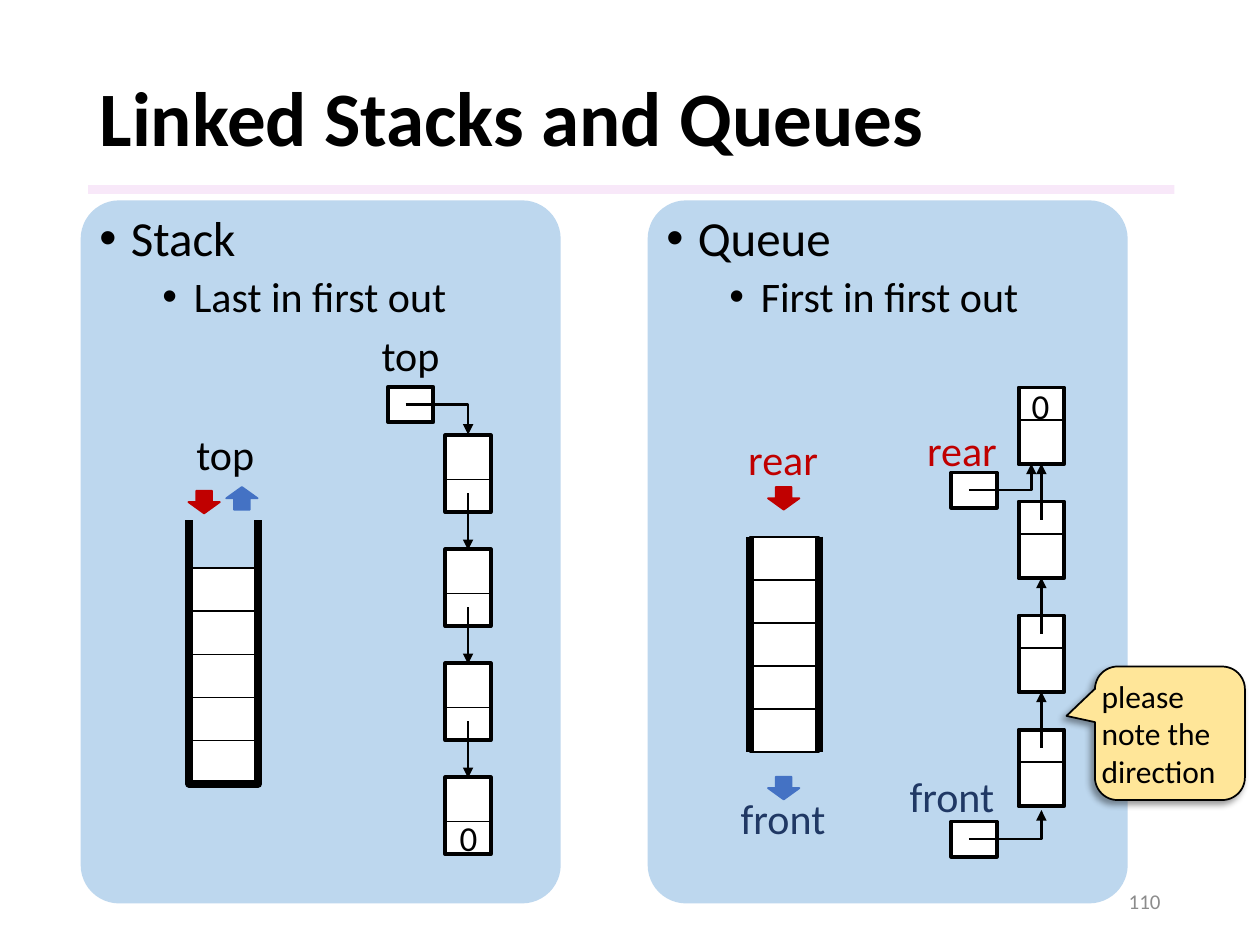
import pptx
import pptx.dml.color
import pptx.enum.shapes
import pptx.enum.text
import pptx.oxml.ns
import pptx.util
from lxml import etree

COLUMNS, ROWS = 100, 75
CELL = pptx.util.Inches(0.1)
FONT = "Calibri"
COLORS = {
    "ink": "000000", "panel": "BDD7EE", "paper": "FFFFFF", "rule": "F3D2F4",
    "in": "C00000", "out": "4472C4", "front": "203864", "note": "FFE699",
    "number": "8C8C8C",
}
SHAPE = pptx.enum.shapes.MSO_SHAPE
ANCHOR = pptx.enum.text.MSO_ANCHOR
ALIGN = pptx.enum.text.PP_ALIGN
NODE_WIDTH, NODE_HEIGHT, NODE_PITCH, LINK_HEIGHT = 3.6, 6.1, 9.05, 2.6
SLOT_WIDTH, SLOT_HEIGHT, SLOT_COUNT = 5.5, 3.42, 5


def grid(*lengths):
    return [pptx.util.Emu(round(length * CELL)) for length in lengths]


def rgb(name):
    return pptx.dml.color.RGBColor.from_string(COLORS[name])


def add_xml(parent, tag, **attributes):
    return etree.SubElement(parent, pptx.oxml.ns.qn(tag), attributes)


def paint_line(shape, width, color="ink", arrow=False):
    shape.line.color.rgb = rgb(color)
    shape.line.width = pptx.util.Pt(width)
    if arrow:
        line = shape._element.spPr.find(pptx.oxml.ns.qn("a:ln"))
        add_xml(line, "a:tailEnd", type="triangle")


def write(frame, text, *, size, color="ink", bold=False, align=ALIGN.LEFT,
          spacing=None, before=None, bullet_indent=None):
    paragraph = frame.add_paragraph() if frame.text else frame.paragraphs[0]
    if bullet_indent is not None:
        properties = paragraph._p.get_or_add_pPr()
        properties.set("marL", str(pptx.util.Inches(bullet_indent)))
        properties.set("indent", str(-pptx.util.Inches(0.25)))
        add_xml(properties, "a:buFont", typeface="Arial")
        add_xml(properties, "a:buChar", char="•")
    paragraph.alignment = align
    if spacing:
        paragraph.line_spacing = spacing
    if before:
        paragraph.space_before = pptx.util.Pt(before)
    run = paragraph.add_run()
    run.text = text
    run.font.name = FONT
    run.font.size = pptx.util.Pt(size)
    run.font.bold = bold
    run.font.color.rgb = rgb(color)


def add_frame(slide, box, wrap=True, anchor=ANCHOR.TOP):
    frame = slide.shapes.add_textbox(*grid(*box)).text_frame
    frame.word_wrap = wrap
    frame.vertical_anchor = anchor
    return frame


def add_label(slide, text, box, size=24, color="ink"):
    write(add_frame(slide, box, wrap=False), text, size=size, color=color)


def add_block(slide, kind, box, fill=None, line=None, width=1):
    block = slide.shapes.add_shape(kind, *grid(*box))
    block.shadow.inherit = False
    if fill:
        block.fill.solid()
        block.fill.fore_color.rgb = rgb(fill)
    else:
        block.fill.background()
    if line:
        paint_line(block, width, line)
    else:
        block.line.fill.background()
    return block


def add_straight(slide, start, end, width=1.5, arrow=False):
    straight = slide.shapes.add_connector(
        pptx.enum.shapes.MSO_CONNECTOR.STRAIGHT, *grid(*start, *end))
    paint_line(straight, width, arrow=arrow)
    add_xml(straight._element.spPr, "a:effectLst")


def add_path(slide, points, width=1.5, arrow=False):
    start, *rest = [grid(*point) for point in points]
    builder = slide.shapes.build_freeform(*start, scale=1)
    builder.add_line_segments(rest, close=False)
    path = builder.convert_to_shape()
    path.shadow.inherit = False
    path.fill.background()
    paint_line(path, width, arrow=arrow)


def add_pointer(slide, left, top, target_x, target_y):
    add_block(slide, SHAPE.RECTANGLE, (left, top, 3.6, 2.8), "paper", "ink", 2.25)
    middle = top + 1.4
    add_path(slide, [(left + 1.4, middle), (target_x, middle),
                     (target_x, target_y)], arrow=True)


def add_chain(slide, left, top, upward=False):
    split = LINK_HEIGHT if upward else NODE_HEIGHT - LINK_HEIGHT
    center = left + NODE_WIDTH / 2
    tops = [top + NODE_PITCH * index for index in range(4)]
    for y in tops:
        for offset, height in ((0, split), (split, NODE_HEIGHT - split)):
            add_block(slide, SHAPE.RECTANGLE, (left, y + offset, NODE_WIDTH, height),
                      "paper", "ink")
        add_block(slide, SHAPE.RECTANGLE, (left, y, NODE_WIDTH, NODE_HEIGHT),
                  line="ink", width=2.25)
    for y in tops[1:] if upward else tops[:-1]:
        start, end = (1.45, -3) if upward else (4.6, 9.1)
        add_straight(slide, (center, y + start), (center, y + end), arrow=True)


def add_slots(slide, left, top):
    for index in range(SLOT_COUNT):
        add_block(slide, SHAPE.RECTANGLE,
                  (left, top + SLOT_HEIGHT * index, SLOT_WIDTH, SLOT_HEIGHT),
                  "paper", "ink")


def add_flow(slide, center, top, color, kind=SHAPE.DOWN_ARROW):
    add_block(slide, kind, (center - 1.25, top, 2.5, 1.8), color, color)


def add_panel(slide, left, heading, detail):
    panel = add_block(slide, SHAPE.ROUNDED_RECTANGLE, (left, 15.9, 38.1, 55.8), "panel")
    panel.adjustments[0] = 0.08
    frame = add_frame(slide, (left + 0.5, 16.5, 41.3, 51))
    write(frame, heading, size=28, spacing=0.9, bullet_indent=0.25)
    write(frame, detail, size=24, spacing=0.9, before=5, bullet_indent=0.75)


def add_stack(slide):
    add_panel(slide, 6.4, "Stack", "Last in first out")
    add_label(slide, "top", (14.6, 33.5, 6.6, 5))
    add_flow(slide, 16.2, 38.95, "in")
    add_flow(slide, 19.2, 38.65, "out", SHAPE.UP_ARROW)
    add_slots(slide, 15, 45.1)
    right, bottom = 15 + SLOT_WIDTH, 45.1 + SLOT_HEIGHT * SLOT_COUNT
    add_path(slide, [(15, 41.3), (15, bottom), (right, bottom), (right, 41.3)], 4.5)
    add_chain(slide, 35.35, 34.55)
    add_label(slide, "top", (29.3, 25.7, 6.6, 5))
    add_pointer(slide, 30.8, 30.7, 37.15, 34.5)
    add_label(slide, "0", (35.5, 64.3, 3.4, 4.4), size=20)


def add_queue(slide):
    add_panel(slide, 51.4, "Queue", "First in first out")
    add_label(slide, "rear", (58.4, 33.9, 7.6, 5), color="in")
    add_flow(slide, 62.2, 38.65, "in")
    add_slots(slide, 59.5, 42.6)
    for x in (59.5, 59.5 + SLOT_WIDTH):
        add_straight(slide, (x, 42.6), (x, 42.6 + SLOT_HEIGHT * SLOT_COUNT), 4.5)
    add_flow(slide, 62.2, 61.65, "out")
    add_label(slide, "front", (57.8, 62.4, 8.8, 5), color="front")
    add_chain(slide, 80.85, 30.75, upward=True)
    add_label(slide, "0", (80.9, 30, 3.4, 4.4), size=20)
    add_label(slide, "rear", (72.6, 33.2, 7.6, 5), color="in")
    add_pointer(slide, 75.5, 37.5, 81.85, 36.8)
    add_label(slide, "front", (71.2, 60.7, 8.8, 5), color="front")
    add_pointer(slide, 75.5, 65.2, 82.65, 64.3)


def add_note(slide):
    note = add_block(slide, SHAPE.ROUNDED_RECTANGULAR_CALLOUT,
                     (86.9, 52.9, 11.9, 10.6), "note", "ink")
    for index, value in enumerate((-0.69, -0.13, 0.17)):
        note.adjustments[index] = value
    effects = note._element.spPr.find(pptx.oxml.ns.qn("a:effectLst"))
    shadow = add_xml(effects, "a:outerShdw", blurRad=str(pptx.util.Pt(4)),
                     dist=str(pptx.util.Pt(3)), dir="8100000", algn="tr",
                     rotWithShape="0")
    add_xml(add_xml(shadow, "a:srgbClr", val=COLORS["ink"]), "a:alpha", val="40000")
    frame = note.text_frame
    frame.word_wrap = True
    frame.margin_left = frame.margin_right = 0
    frame.vertical_anchor = ANCHOR.MIDDLE
    write(frame, "please note the direction", size=18)


def add_heading(slide):
    heading = slide.shapes.title
    heading.left, heading.top, heading.width, heading.height = grid(6.9, 4, 86.2, 11.3)
    heading.text_frame.auto_size = pptx.enum.text.MSO_AUTO_SIZE.NONE
    heading.text_frame.vertical_anchor = ANCHOR.MIDDLE
    write(heading.text_frame, "Linked Stacks and Queues", size=44, bold=True, spacing=0.9)
    rule = add_block(slide, SHAPE.RECTANGLE, (7, 14.7, 86.2, 0.7), "rule")
    tint = rule._element.spPr.find(".//" + pptx.oxml.ns.qn("a:srgbClr"))
    add_xml(tint, "a:alpha", val="50000")


def main():
    deck = pptx.Presentation()
    deck.slide_width, deck.slide_height = grid(COLUMNS, ROWS)
    slide = deck.slides.add_slide(deck.slide_layouts[5])
    add_heading(slide)
    add_stack(slide)
    add_queue(slide)
    add_note(slide)
    write(add_frame(slide, (70.6, 69.5, 22.5, 4), anchor=ANCHOR.MIDDLE), "110",
          size=12, color="number", align=ALIGN.RIGHT)
    deck.save("out.pptx")


if __name__ == "__main__":
    main()
